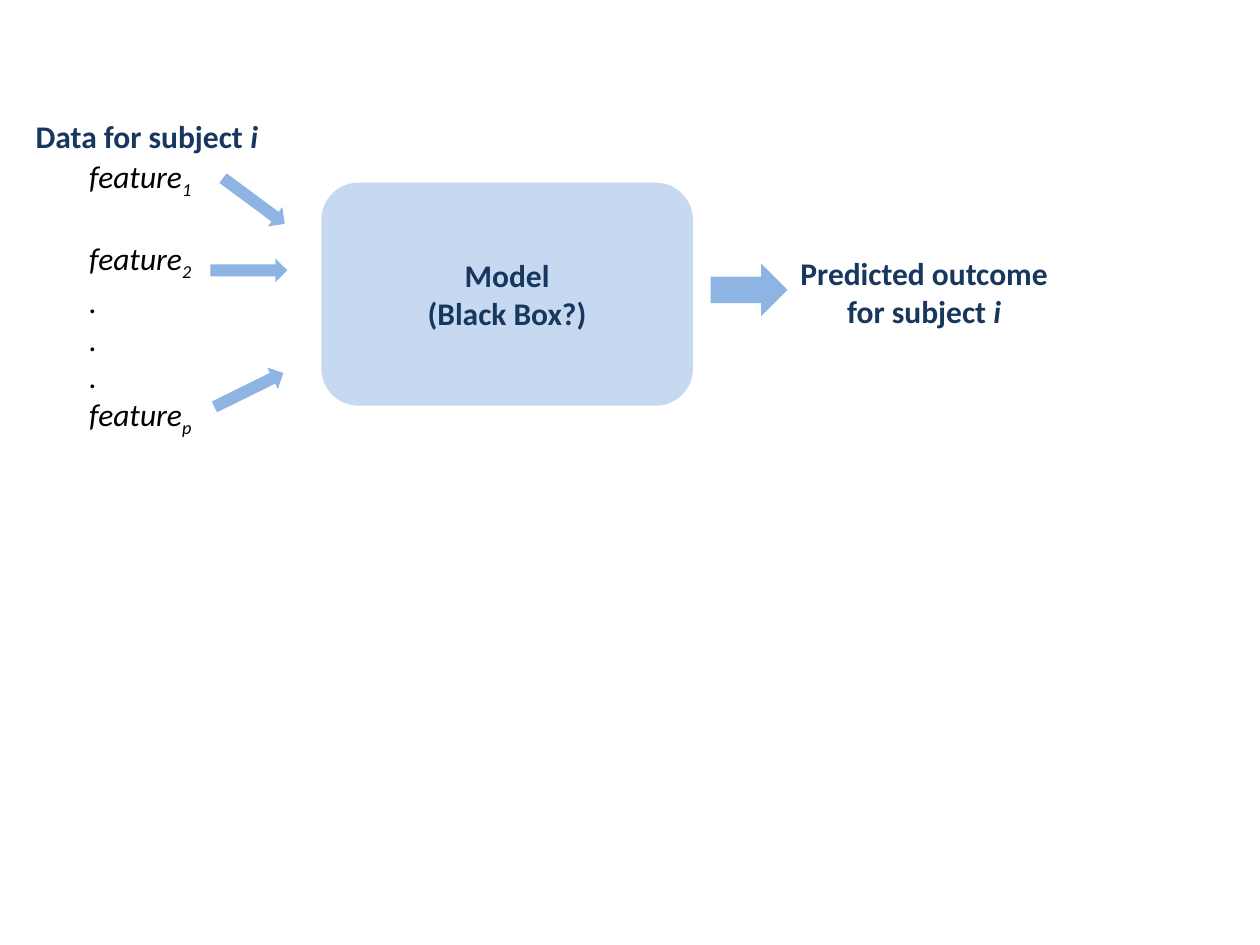
import pptx
import pptx.util
import pptx.dml.color
import pptx.enum.shapes
import pptx.enum.text

Inches, Pt = pptx.util.Inches, pptx.util.Pt
RGB = pptx.dml.color.RGBColor.from_string
MSO = pptx.enum.shapes.MSO_SHAPE
ALIGN = pptx.enum.text.PP_ALIGN
ANCHOR = pptx.enum.text.MSO_ANCHOR

THEME = {
    "font": "Calibri", "size": Pt(18), "blank_line": Pt(22),
    "text": RGB("000000"), "heading": RGB("17375E"),
    "box": RGB("C6D9F1"), "arrow": RGB("8EB4E3"),
}
FEATURE = {"italic": True, "color": THEME["text"]}
HEADING = {"bold": True, "color": THEME["heading"]}
SUBJECT = {**HEADING, "italic": True}

prs = pptx.Presentation()
prs.slide_width, prs.slide_height = Inches(10), Inches(7.5)
s = prs.slides.add_slide(prs.slide_layouts[6])


def add_shape(kind, box, fill, rotation=0):
    sp = s.shapes.add_shape(kind, *map(Inches, box))
    sp.shadow.inherit = False
    sp.fill.solid()
    sp.fill.fore_color.rgb = fill
    sp.line.fill.background()
    sp.rotation = rotation
    return sp


def write(sp, lines, align):
    tf = sp.text_frame
    tf.word_wrap = True
    for i, runs in enumerate(lines):
        p = tf.paragraphs[0] if i == 0 else tf.add_paragraph()
        p.alignment = align
        for text, style in runs:
            r = p.add_run()
            r.text = text
            fmt = {"name": THEME["font"], "size": THEME["size"], **style}
            r.font.color.rgb = fmt.pop("color")
            baseline = fmt.pop("baseline", None)
            for key, value in fmt.items():
                setattr(r.font, key, value)
            if baseline:
                r._r.get_or_add_rPr().set("baseline", baseline)
    return tf


features = []
for name, index in [("feature", "1"), ("feature", "2"), (".", ""),
                    (".", ""), (".", ""), ("feature", "p")]:
    runs = [(name, FEATURE)]
    if index:
        runs.append((index, {**FEATURE, "baseline": "-25000"}))
    features.append(runs)
sp = s.shapes.add_textbox(*map(Inches, (0.61, 1.2, 1.16, 2.22)))
tf = write(sp, features, ALIGN.LEFT)
tf.paragraphs[1].space_before = THEME["blank_line"]

model = add_shape(MSO.ROUNDED_RECTANGLE, (2.55, 1.45, 2.95, 1.77), THEME["box"])
tf = write(model, [[("Model", HEADING)], [("(Black Box?)", HEADING)]], ALIGN.CENTER)
tf.vertical_anchor = ANCHOR.MIDDLE

for left, top, height, rotation in [
    (1.71, 1.5, 0.19, 36.5),
    (1.67, 3, 0.19, 333.8),
    (1.67, 2.05, 0.19, 0),
    (5.64, 2.09, 0.42, 0),
]:
    add_shape(MSO.RIGHT_ARROW, (left, top, 0.61, height), THEME["arrow"], rotation)

for text, box in [
    ("Data for subject ", (-0.13, 0.88, 2.59, 0.4)),
    ("Predicted outcome for subject ", (6.17, 1.97, 2.33, 0.71)),
]:
    sp = s.shapes.add_textbox(*map(Inches, box))
    write(sp, [[(text, HEADING), ("i", SUBJECT)]], ALIGN.CENTER)

prs.save("out.pptx")
